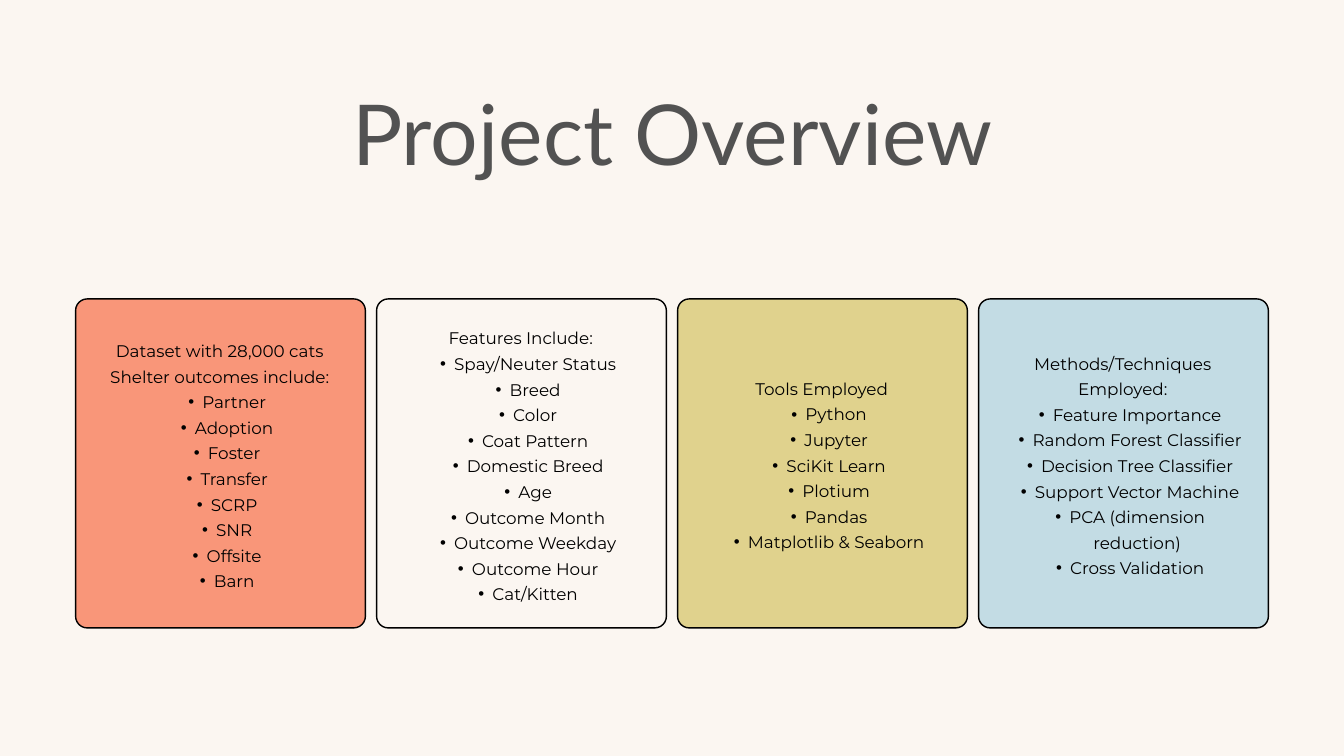
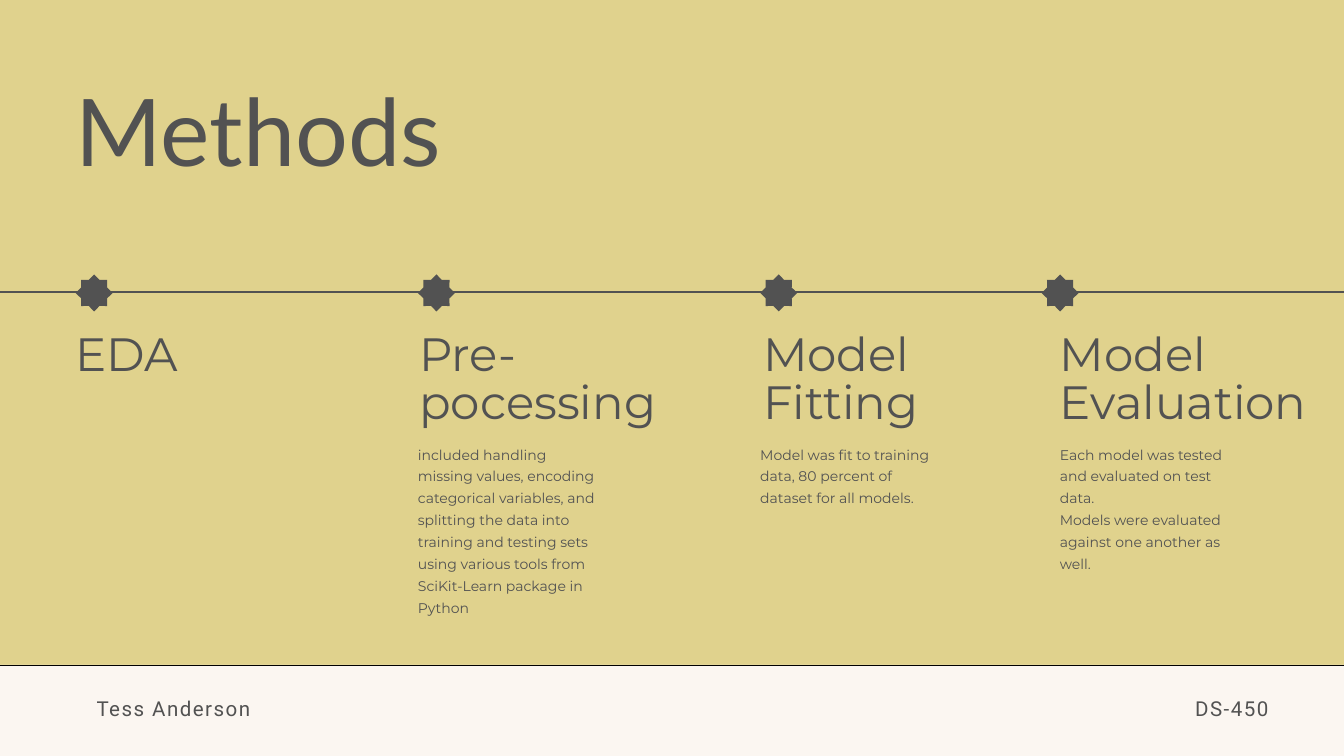
from lxml import etree
from pptx import Presentation
from pptx.dml.color import RGBColor
from pptx.enum.shapes import MSO_CONNECTOR as CONNECTOR, MSO_SHAPE as SHAPE
from pptx.enum.text import MSO_ANCHOR as ANCHOR, MSO_AUTO_SIZE as AUTO_SIZE, PP_ALIGN as ALIGN
from pptx.oxml.ns import qn
from pptx.util import Pt

PX = 9525  # EMU per pixel, 96 pixels to the inch
CREAM = RGBColor(0xFB, 0xF6, 0xF1)
CORAL = RGBColor(0xF9, 0x96, 0x79)
SAND = RGBColor(0xE0, 0xD2, 0x8D)
SKY = RGBColor(0xC3, 0xDC, 0xE4)
GREY = RGBColor(0x52, 0x52, 0x52)
BLACK = RGBColor(0, 0, 0)
TITLE_FONT, BODY_FONT, FOOTER_FONT = "Lato", "Montserrat", "Roboto"


def write(box, area, lines, font, size, leading, color=GREY, align=ALIGN.LEFT, spacing=0):
    """Place a box and fill it with one paragraph per line."""
    box.left, box.top, box.width, box.height = [n * PX for n in area]
    frame = box.text_frame
    frame.word_wrap = True
    frame.auto_size = AUTO_SIZE.NONE
    frame.vertical_anchor = ANCHOR.TOP
    frame.margin_left = frame.margin_top = frame.margin_right = frame.margin_bottom = 0
    for i, line in enumerate(lines):
        para = frame.add_paragraph() if i else frame.paragraphs[0]
        para.alignment = align
        para.line_spacing = Pt(leading)
        para.space_before = Pt(0)
        span = para.add_run()
        span.text = line
        span.font.name, span.font.size, span.font.bold = font, Pt(size), False
        span.font.color.rgb = color
        if spacing:
            span.font._element.set("spc", str(spacing))


def add_block(page, kind, area, fill, line=None, weight=0):
    """Add a flat preset shape with an optional outline."""
    block = page.shapes.add_shape(kind, *[n * PX for n in area])
    block.shadow.inherit = False
    block.fill.solid()
    block.fill.fore_color.rgb = fill
    if line is None:
        block.line.fill.background()
    else:
        block.line.color.rgb = line
        block.line.width = Pt(weight)
    return block


deck = Presentation()
deck.slide_width, deck.slide_height = 1920 * PX, 1080 * PX

# Slide 1: project overview
page = deck.slides.add_slide(deck.slide_layouts.get_by_name("Comparison"))
page.background.fill.solid()
page.background.fill.fore_color.rgb = CREAM
write(page.shapes.title, (203, 142, 1515, 125), ["Project Overview"],
      TITLE_FONT, 90, 89.1, align=ALIGN.CENTER)

# Cards: fill, number of heading paragraphs, number of wrapped lines, text
cards = [
    (CORAL, 2, 10, ["Dataset with 28,000 cats", "Shelter outcomes include:", "Partner",
                    "Adoption", "Foster", "Transfer", "SCRP", "SNR", "Offsite", "Barn"]),
    (CREAM, 1, 11, ["Features Include:", "Spay/Neuter Status", "Breed", "Color",
                    "Coat Pattern", "Domestic Breed", "Age", "Outcome Month",
                    "Outcome Weekday", "Outcome Hour", "Cat/Kitten"]),
    (SAND, 1, 7, ["Tools Employed", "Python", "Jupyter", "SciKit Learn", "Plotium",
                  "Pandas", "Matplotlib & Seaborn"]),
    (SKY, 1, 9, ["Methods/Techniques Employed:", "Feature Importance",
                 "Random Forest Classifier", "Decision Tree Classifier",
                 "Support Vector Machine", "PCA (dimension reduction)", "Cross Validation"]),
]
bodies = [box for box in page.placeholders if box.placeholder_format.idx > 0]
for i, (fill, headings, rows, lines) in enumerate(cards):
    card = add_block(page, SHAPE.ROUNDED_RECTANGLE, (108 + 430 * i, 427, 414, 470),
                     fill, BLACK, 1.5)
    card.adjustments[0] = 0.04
    body = bodies[i]
    page.shapes.element.append(body.element)  # bring the list in front of its card
    write(body, (139 + 430 * i, 659 - 18 * rows, 350, 36 * rows), lines,
          BODY_FONT, 18, 27.4, BLACK, ALIGN.CENTER)
    for n, para in enumerate(body.text_frame.paragraphs):
        props = para._p.get_or_add_pPr()
        if n < headings:
            props.set("marL", "0")
            props.set("indent", "0")
            etree.SubElement(props, qn("a:buNone"))
        else:
            para.level = 1
            props.set("marL", str(41 * PX))
            props.set("indent", str(-20 * PX))
            etree.SubElement(props, qn("a:buFont"), typeface="Arial")
            etree.SubElement(props, qn("a:buChar"), char="•")

# Slide 2: methods
page = deck.slides.add_slide(deck.slide_layouts.get_by_name("Title Only"))
page.background.fill.solid()
page.background.fill.fore_color.rgb = SAND
write(page.shapes.title, (108, 170, 1212, 110), ["Methods"], TITLE_FONT, 100, 71)

# Timeline
timeline = page.shapes.add_connector(CONNECTOR.STRAIGHT, -93 * PX, 417 * PX, 2013 * PX, 417 * PX)
timeline.line.color.rgb = GREY
timeline.line.width = Pt(2.25)
etree.SubElement(timeline.element.spPr, qn("a:effectLst"))

# Steps: star left, heading left and width, heading, note left, note height, note
steps = [
    (108, 108, 230, ["EDA"], 108, 0, []),
    (597, 599, 361, ["Pre-pocessing"], 597, 247,
     ["included handling missing values, encoding categorical variables, and splitting "
      "the data into training and testing sets using various tools from SciKit-Learn "
      "package in Python"]),
    (1086, 1090, 230, ["Model", "Fitting"], 1086, 92,
     ["Model was fit to training data, 80 percent of dataset for all models."]),
    (1488, 1514, 371, ["Model Evaluation"], 1514, 185,
     ["Each model was tested and evaluated on test data.",
      "Models were evaluated against one another as well."]),
]
for star_left, head_left, head_width, heading, note_left, note_height, note in steps:
    star = add_block(page, SHAPE.STAR_8_POINT, (star_left, 392, 53, 53), GREY)
    star.adjustments[0] = 0.38
    head_height = 70 if heading == ["EDA"] else 138
    write(page.shapes.add_textbox(0, 0, 0, 0), (head_left, 475, head_width, head_height),
          heading, BODY_FONT, 50, 51.5)
    if note:
        write(page.shapes.add_textbox(0, 0, 0, 0), (note_left, 630, 259, note_height),
              note, BODY_FONT, 15, 23.4)

# Footer band, bleeding past the slide edges so only its top line shows
add_block(page, SHAPE.RECTANGLE, (-72, 950, 2085, 208), CREAM, BLACK, 0.75)
for left, width, words, align in [(138, 584, "Tess Anderson", ALIGN.LEFT),
                                  (1553, 259, "DS-450", ALIGN.RIGHT)]:
    write(page.shapes.add_textbox(0, 0, 0, 0), (left, 999, width, 33), [words],
          FOOTER_FONT, 22, 22.7, align=align, spacing=160)

deck.save("out.pptx")
